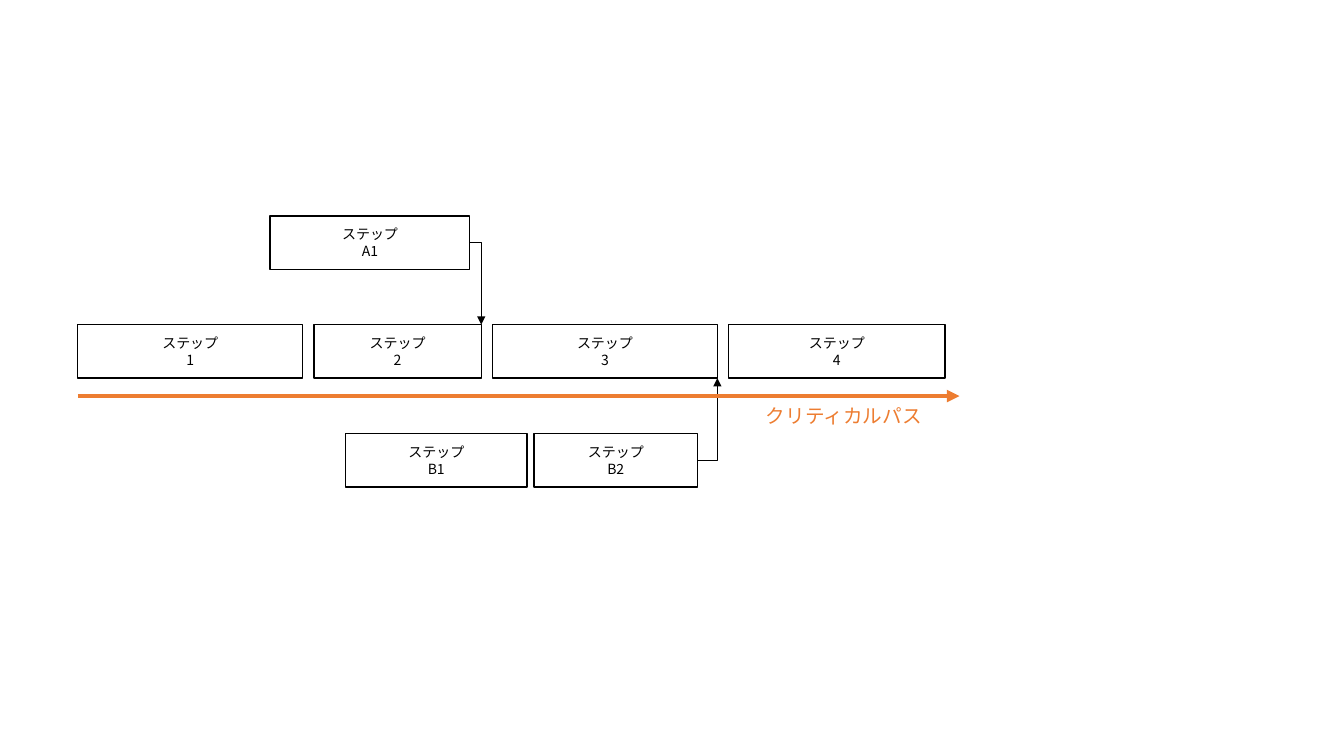
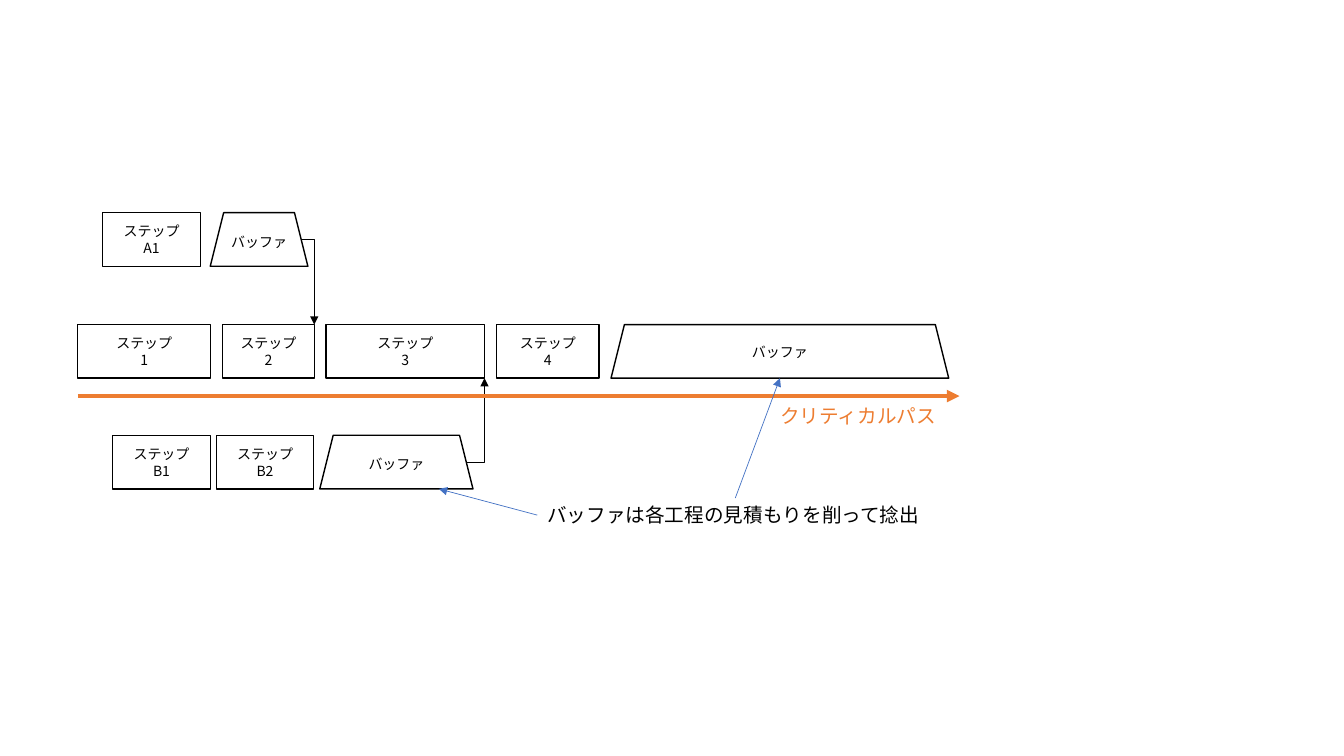
from lxml import etree
from pptx import Presentation
from pptx.dml.color import RGBColor
from pptx.enum.shapes import MSO_CONNECTOR, MSO_SHAPE
from pptx.enum.text import MSO_ANCHOR, MSO_AUTO_SIZE, PP_ALIGN
from pptx.oxml.ns import qn
from pptx.util import Cm, Pt

RECTANGLE = MSO_SHAPE.RECTANGLE
TRAPEZOID = MSO_SHAPE.TRAPEZOID
STRAIGHT = MSO_CONNECTOR.STRAIGHT
ELBOW = MSO_CONNECTOR.ELBOW
MIDDLE = MSO_ANCHOR.MIDDLE
CENTER = PP_ALIGN.CENTER
FIT_TEXT = MSO_AUTO_SIZE.SHAPE_TO_FIT_TEXT

COLORS = {"paper": "FFFFFF", "ink": "000000", "critical": "ED7D31", "pointer": "4472C4"}
FONT = "Noto Sans CJK JP"
BUFFER = "バッファ"
TOP, LEFT, BOTTOM = 0, 1, 2

BOX_HEIGHT = Cm(1.35)
MAIN_LEFT = Cm(1.96)
MAIN_TOP = Cm(8.18)
PATH_TOP = Cm(9.98)
PATH_RIGHT = Cm(24.18)


def color(name):
    return RGBColor.from_string(COLORS[name])


def write(shape, text, size, color_name, alignment=None):
    shape.text_frame.text = text
    for paragraph in shape.text_frame.paragraphs:
        paragraph.alignment = alignment
        for run in paragraph.runs:
            run.font.size = Pt(size)
            run.font.color.rgb = color(color_name)
            run.font.name = FONT
            properties = run.font._element
            etree.SubElement(properties, qn("a:ea")).set("typeface", FONT)


def add_arrow(slide, kind, begin, end, color_name, width):
    connector = slide.shapes.add_connector(kind, *begin, *end)
    connector.line.color.rgb = color(color_name)
    connector.line.width = Pt(width)
    properties = connector._element.spPr
    etree.SubElement(properties.get_or_add_ln(), qn("a:tailEnd")).set("type", "triangle")
    etree.SubElement(properties, qn("a:effectLst"))
    if kind == ELBOW:
        properties.find(qn("a:prstGeom")).set("prst", "bentConnector2")
    return connector


def add_label(slide, text, left, top, width, color_name):
    label = slide.shapes.add_textbox(left, top, width, Cm(0.86))
    label.text_frame.word_wrap = False
    label.text_frame.auto_size = FIT_TEXT
    write(label, text, 14, color_name)
    return label


def add_chain(slide, left, top, gap, boxes):
    chain = []
    for name, width in boxes:
        kind, text = (TRAPEZOID, name) if name == BUFFER else (RECTANGLE, f"ステップ\n{name}")
        shape = slide.shapes.add_shape(kind, left, top, Cm(width), BOX_HEIGHT)
        shape.shadow.inherit = False
        shape.fill.solid()
        shape.fill.fore_color.rgb = color("paper")
        shape.line.color.rgb = color("ink")
        shape.line.width = Pt(1)
        shape.text_frame.vertical_anchor = MIDDLE
        write(shape, text, 10, "ink", CENTER)
        chain.append(shape)
        left += shape.width + gap
    return chain


def add_feed(slide, source, target):
    right = source.left + source.width
    if source.auto_shape_type == TRAPEZOID:
        right -= source.height // 8
    target_edge = target.top if source.top < target.top else target.top + target.height
    add_arrow(slide, ELBOW, (right, source.top + source.height // 2),
              (target.left + target.width, target_edge), "ink", 0.5)


def add_critical_path(slide, label_left):
    add_arrow(slide, STRAIGHT, (MAIN_LEFT, PATH_TOP), (PATH_RIGHT, PATH_TOP), "critical", 3)
    add_label(slide, "クリティカルパス", label_left, PATH_TOP + Cm(0.08), Cm(4.5), "critical")


def add_buffer_note(slide, left, top, main_buffer, feeding_buffer):
    note = add_label(slide, "バッファは各工程の見積もりを削って捻出", left, top, Cm(9.98), "ink")
    feeding_end = (feeding_buffer.left + Cm(3), feeding_buffer.top + feeding_buffer.height)
    to_feeding = add_arrow(slide, STRAIGHT, (left, top), feeding_end, "pointer", 0.5)
    to_feeding.begin_connect(note, LEFT)
    to_main = add_arrow(slide, STRAIGHT, (left, top), feeding_end, "pointer", 0.5)
    to_main.begin_connect(note, TOP)
    to_main.end_connect(main_buffer, BOTTOM)


def add_schedule(presentation, main, upper, lower, label_left):
    slide = presentation.slides.add_slide(presentation.slide_layouts[6])
    main_chain = add_chain(slide, MAIN_LEFT, MAIN_TOP, *main)
    upper_chain = add_chain(slide, *upper)
    lower_chain = add_chain(slide, *lower)
    add_feed(slide, upper_chain[-1], main_chain[1])
    add_feed(slide, lower_chain[-1], main_chain[2])
    add_critical_path(slide, label_left)
    return slide, main_chain, lower_chain


def main():
    presentation = Presentation()
    presentation.slide_width = Cm(33.87)
    presentation.slide_height = Cm(19.05)

    add_schedule(
        presentation,
        (Cm(0.28), [("1", 5.67), ("2", 4.22), ("3", 5.67), ("4", 5.46)]),
        (Cm(6.81), Cm(5.44), 0, [("A1", 5.03)]),
        (Cm(8.71), Cm(10.92), Cm(0.18), [("B1", 4.57), ("B2", 4.12)]),
        Cm(19.05),
    )
    slide, main_chain, lower_chain = add_schedule(
        presentation,
        (Cm(0.3), [("1", 3.35), ("2", 2.31), ("3", 3.99), ("4", 2.59), (BUFFER, 8.51)]),
        (Cm(2.59), Cm(5.36), Cm(0.25), [("A1", 2.46), (BUFFER, 2.46)]),
        (Cm(2.84), Cm(10.97), Cm(0.15), [("B1", 2.46), ("B2", 2.46), (BUFFER, 3.86)]),
        Cm(19.41),
    )
    add_buffer_note(slide, Cm(13.54), Cm(12.55), main_chain[-1], lower_chain[-1])
    presentation.save("out.pptx")


if __name__ == "__main__":
    main()
